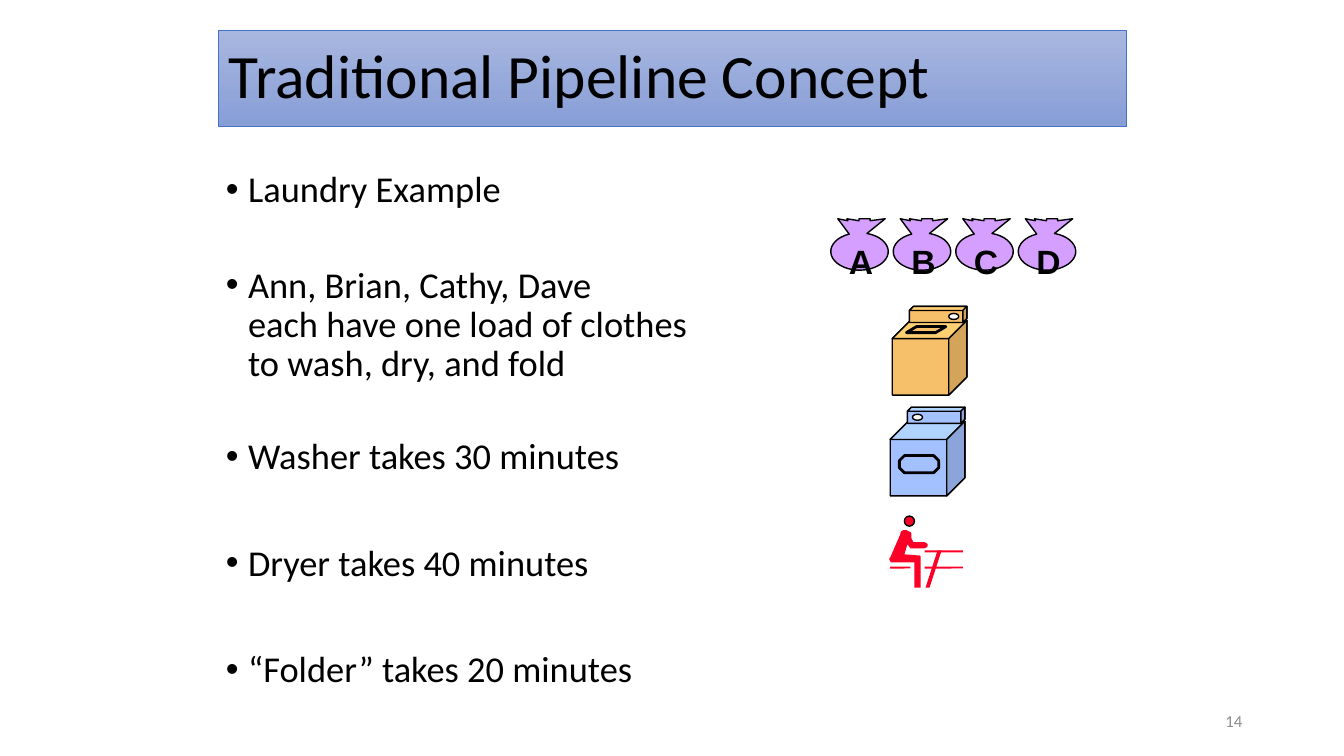
from dataclasses import dataclass
from math import cos, radians, sin

from pptx import Presentation
from pptx.dml.color import RGBColor
from pptx.enum.shapes import MSO_SHAPE
from pptx.enum.text import MSO_ANCHOR, MSO_AUTO_SIZE, PP_ALIGN
from pptx.util import Inches, Pt


@dataclass(frozen=True)
class Theme:
    text: str = "000000"
    muted: str = "8C8C8C"
    title_top: str = "A8B7DF"
    title_bottom: str = "889ED7"
    title_line: str = "4472C4"
    bag: str = "D49FFF"
    folder: str = "FC0128"
    knob: str = "FFFFFF"
    washer: tuple = ("F6BF69", "FFD072", "D3A45A")  # front, top, side
    dryer: tuple = ("A2C1FE", "B1D3FF", "8BA5DA")
    font: str = "Calibri"
    label_font: str = "Arial"
    title_size: int = 44
    body_size: int = 26
    label_size: int = 24
    number_size: int = 12


theme = Theme()


def paint(sp, fill, line_width=0):
    sp.shadow.inherit = False
    sp.fill.solid()
    sp.fill.fore_color.rgb = RGBColor.from_string(fill)
    if line_width:
        sp.line.color.rgb = RGBColor.from_string(theme.text)
        sp.line.width = Pt(line_width)
    else:
        sp.line.fill.background()


def add_outline(group, points, fill, line_width=0, left=0, top=0):
    pts = [(Inches(left + x), Inches(top + y)) for x, y in points]
    builder = group.shapes.build_freeform(*pts[0])
    builder.add_line_segments(pts[1:], close=True)
    paint(builder.convert_to_shape(), fill, line_width)


prs = Presentation()
prs.slide_width, prs.slide_height = Inches(13.33), Inches(7.5)
s = prs.slides.add_slide(prs.slide_layouts[1])

# Title bar
title = s.shapes.title
title.left, title.top, title.width, title.height = map(Inches, (2.17, 0.3, 9, 0.95))
title.fill.gradient()
title.fill.gradient_angle = 270
for stop, color in zip(title.fill.gradient_stops, (theme.title_top, theme.title_bottom)):
    stop.color.rgb = RGBColor.from_string(color)
title.line.color.rgb = RGBColor.from_string(theme.title_line)
title.line.width = Pt(0.5)
tf = title.text_frame
tf.text = "Traditional Pipeline Concept"
tf.vertical_anchor = MSO_ANCHOR.MIDDLE
tf.auto_size = MSO_AUTO_SIZE.NONE
p = tf.paragraphs[0]
p.alignment = PP_ALIGN.LEFT
p.line_spacing = 0.9
p.font.name, p.font.size = theme.font, Pt(theme.title_size)
p.font.color.rgb = RGBColor.from_string(theme.text)

# Bullet list: text and space before
bullets = [
    ("Laundry Example", 0),
    ("Ann, Brian, Cathy, Dave\veach have one load of clothes\vto wash, dry, and fold", 40),
    ("Washer takes 30 minutes", 38.5),
    ("Dryer takes 40 minutes", 48),
    ("“Folder” takes 20 minutes", 48),
]
body = s.placeholders[1]
body.left, body.top, body.width, body.height = map(Inches, (2.17, 1.67, 9, 5.33))
tf = body.text_frame
tf.auto_size = MSO_AUTO_SIZE.NONE
tf.margin_left = tf.margin_right = Inches(0.07)
tf.margin_top = tf.margin_bottom = Inches(0.03)
for i, (text, space) in enumerate(bullets):
    p = tf.add_paragraph() if i else tf.paragraphs[0]
    p.text = text
    p.line_spacing = 0.9
    p.space_before = Pt(space)
    pPr = p._p.get_or_add_pPr()
    pPr.set("marL", str(Inches(0.22)))
    pPr.set("indent", str(-Inches(0.22)))
    for r in p.runs:
        r.font.name, r.font.size = theme.font, Pt(theme.body_size)
        r.font.color.rgb = RGBColor.from_string(theme.text)

# Dryer and washer: left, top, colours, knob offset, door outline
dryer_door = [(0.14, 0.48), (0.43, 0.48), (0.48, 0.53), (0.48, 0.6),
              (0.43, 0.65), (0.14, 0.65), (0.09, 0.6), (0.09, 0.53)]
washer_lid = [(0.24, 0.2), (0.53, 0.2), (0.43, 0.26), (0.14, 0.26)]
machines = [
    (8.83, 4.04, theme.dryer, 0.22, dryer_door),
    (8.85, 3.04, theme.washer, 0.56, washer_lid),
]
# Cabinet and control panel: left, right, top, bottom, depth
boxes = [(0, 0.74, 0.14, 0.88, 0.18), (0.17, 0.74, 0, 0.16, 0.04)]
for left, top, (front, lid, side), knob_x, door in machines:
    group = s.shapes.add_group_shape()
    for x0, x1, y0, y1, d in boxes:
        faces = [
            ([(x0, y1), (x0, y0 + d), (x0 + d, y0), (x1, y0), (x1, y1 - d), (x1 - d, y1)], front),
            ([(x0, y0 + d), (x0 + d, y0), (x1, y0), (x1 - d, y0 + d)], lid),
            ([(x1 - d, y1), (x1 - d, y0 + d), (x1, y0), (x1, y1 - d)], side),
        ]
        for points, fill in faces:
            add_outline(group, points, fill, 1, left, top)
    add_outline(group, door, front, 2, left, top)
    knob = group.shapes.add_shape(MSO_SHAPE.OVAL, Inches(left + knob_x), Inches(top + 0.07),
                                  Inches(0.1), Inches(0.06))
    paint(knob, theme.knob, 1)

# Folder: seated person at a table
group = s.shapes.add_group_shape()
add_outline(group, [(9.3, 5.46), (9.34, 5.46), (9.22, 5.83), (9.18, 5.83)], theme.folder)
for x, y, width in [(9.17, 5.46, 0.38), (9.17, 5.62, 0.38), (8.83, 5.62, 0.2)]:
    bar = group.shapes.add_shape(MSO_SHAPE.ROUNDED_RECTANGLE, Inches(x), Inches(y),
                                 Inches(width), Inches(0.02))
    bar.adjustments[0] = 0.08
    paint(bar, theme.folder)
head = group.shapes.add_shape(MSO_SHAPE.OVAL, Inches(8.97), Inches(5.12), Inches(0.1), Inches(0.1))
paint(head, theme.folder, 1)
person = [
    (8.93, 5.3), (8.83, 5.53), (8.82, 5.54), (8.82, 5.55), (8.83, 5.57), (8.84, 5.58),
    (8.86, 5.58), (9.07, 5.58), (9.07, 5.83), (9.13, 5.83), (9.13, 5.54), (9.13, 5.52),
    (9.12, 5.51), (9.1, 5.51), (8.97, 5.5), (9, 5.4), (9.03, 5.44), (9.17, 5.44),
    (9.19, 5.43), (9.2, 5.42), (9.2, 5.4), (9.19, 5.39), (9.17, 5.38), (9.06, 5.38),
    (9.04, 5.34), (9.04, 5.29), (9.03, 5.28), (9.01, 5.27), (8.99, 5.26), (8.96, 5.26),
    (8.94, 5.27), (8.93, 5.29),
]
add_outline(group, person, theme.folder)

# Laundry bags: tied neck above an elliptical sack
neck = [(0.07, 0), (0.17, 0.02), (0.16, 0), (0.28, 0.02), (0.28, 0),
        (0.39, 0), (0.39, 0.02), (0.54, 0)]
sack = [(0.285 + 0.285 * cos(radians(a)), 0.325 + 0.185 * sin(radians(a)))
        for a in range(-75, 253, 9)]
group = s.shapes.add_group_shape()
for i, owner in enumerate("ABCD"):
    left = 8.24 + 0.62 * i
    add_outline(group, neck + sack, theme.bag, 1, left, 2.17)
    label = group.shapes.add_textbox(Inches(left + 0.08), Inches(2.25), Inches(0.44), Inches(0.54))
    tf = label.text_frame
    tf.text = owner
    tf.word_wrap = False
    tf.auto_size = MSO_AUTO_SIZE.SHAPE_TO_FIT_TEXT
    p = tf.paragraphs[0]
    p.alignment = PP_ALIGN.CENTER
    p.line_spacing = 1.22
    p.font.name, p.font.size, p.font.bold = theme.label_font, Pt(theme.label_size), True
    p.font.color.rgb = RGBColor.from_string(theme.text)

# Slide number
number = s.shapes.add_textbox(Inches(9.42), Inches(6.95), Inches(3), Inches(0.4))
tf = number.text_frame
tf.text = "14"
tf.word_wrap = True
tf.vertical_anchor = MSO_ANCHOR.MIDDLE
p = tf.paragraphs[0]
p.alignment = PP_ALIGN.RIGHT
p.font.name, p.font.size = theme.font, Pt(theme.number_size)
p.font.color.rgb = RGBColor.from_string(theme.muted)

prs.save("out.pptx")
